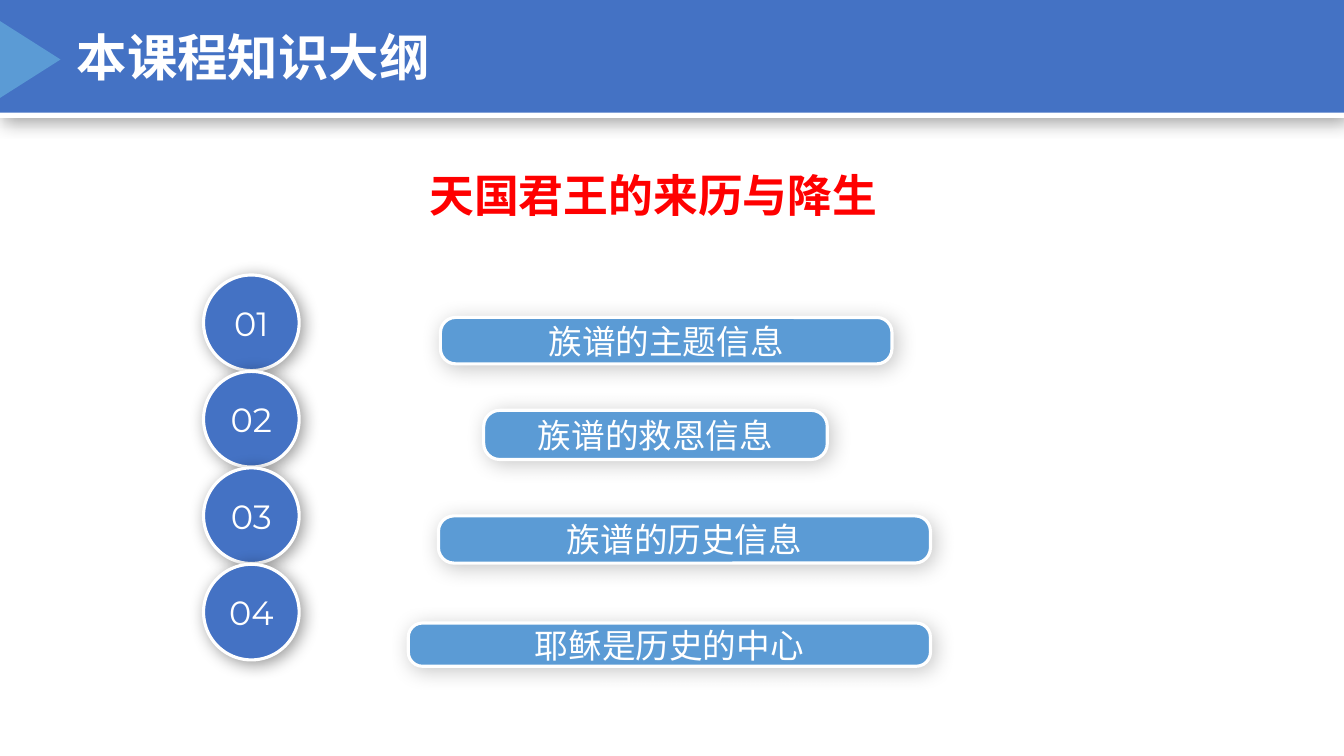
"""Build the course outline slide with a header band and four numbered topics."""
from dataclasses import dataclass

from lxml import etree
from pptx import Presentation
from pptx.dml.color import RGBColor
from pptx.enum.shapes import MSO_SHAPE
from pptx.enum.text import MSO_ANCHOR, MSO_AUTO_SIZE, PP_ALIGN
from pptx.oxml.ns import qn
from pptx.util import Cm, Pt

RECTANGLE = MSO_SHAPE.RECTANGLE
TRIANGLE = MSO_SHAPE.ISOSCELES_TRIANGLE
OVAL = MSO_SHAPE.OVAL
ROUNDED = MSO_SHAPE.ROUNDED_RECTANGLE
TOP, MIDDLE = MSO_ANCHOR.TOP, MSO_ANCHOR.MIDDLE
LEFT, CENTER = PP_ALIGN.LEFT, PP_ALIGN.CENTER
NO_AUTOFIT = MSO_AUTO_SIZE.NONE

COURSE_TITLE = "本课程知识大纲"
LESSON_HEADING = "天国君王的来历与降生"
TOPICS = [
    ("族谱的主题信息", (11.1, 8.0, 11.38, 1.17)),
    ("族谱的救恩信息", (12.19, 10.34, 8.66, 1.24)),
    ("族谱的历史信息", (11.05, 13.0, 12.4, 1.19)),
    ("耶稣是历史的中心", (10.29, 15.7, 13.16, 1.09)),
]

SLIDE_WIDTH, SLIDE_HEIGHT = 33.87, 19.05
BAND_HEIGHT, BAND_EDGE = 2.84, 0.13
BADGE_LEFT, BADGE_TOP, BADGE_SIZE, BADGE_STEP = 5.13, 6.93, 2.41, 2.43
PILL_ROUNDING = 0.327


@dataclass(frozen=True)
class Theme:
    """Colours, fonts, type sizes and shadows of the slide."""
    white: str = "FFFFFF"
    band: str = "4472C4"
    accent: str = "5B9BD5"
    heading: str = "FF0000"
    shadow: str = "000000"
    chinese: str = "Noto Sans CJK SC"
    digits: str = "Montserrat"
    title_size: int = 36
    heading_size: int = 32
    item_size: int = 24
    outline: float = 2.25
    band_shadow: tuple = (40, 13)
    badge_shadow: tuple = (40, 12)
    pill_shadow: tuple = (21, 15)


THEME = Theme()


def place(part, box):
    part.left, part.top, part.width, part.height = (Cm(length) for length in box)


def write(part, wording, font_name, size, colour, bold=False, align=LEFT, anchor=TOP):
    frame = part.text_frame
    frame.text = wording
    frame.word_wrap = True
    frame.auto_size = NO_AUTOFIT
    frame.vertical_anchor = anchor
    paragraph = frame.paragraphs[0]
    paragraph.alignment = align
    run = paragraph.runs[0]
    run.font.name = font_name
    run.font.size = Pt(size)
    run.font.bold = bold
    run.font.color.rgb = RGBColor.from_string(colour)
    etree.SubElement(run.font._element, qn("a:ea"), typeface=font_name)


def cast_shadow(part, opacity, blur):
    effects = part._element.spPr.find(qn("a:effectLst"))
    outer = etree.SubElement(effects, qn("a:outerShdw"), blurRad=str(Pt(blur)),
                             dist=str(Pt(3)), dir="2700000", algn="tl", rotWithShape="0")
    tint = etree.SubElement(outer, qn("a:srgbClr"), val=THEME.shadow)
    etree.SubElement(tint, qn("a:alpha"), val=str(opacity * 1000))


def add_block(slide, preset, box, fill, outlined=False, shadow=None):
    block = slide.shapes.add_shape(preset, *(Cm(length) for length in box))
    block.fill.solid()
    block.fill.fore_color.rgb = RGBColor.from_string(fill)
    if outlined:
        block.line.color.rgb = RGBColor.from_string(THEME.white)
        block.line.width = Pt(THEME.outline)
    else:
        block.line.fill.background()
    block.shadow.inherit = False
    if shadow:
        cast_shadow(block, *shadow)
    return block


def add_header(slide):
    add_block(slide, RECTANGLE, (0, BAND_EDGE, SLIDE_WIDTH, BAND_HEIGHT), THEME.white,
              shadow=THEME.band_shadow)
    add_block(slide, RECTANGLE, (0, 0, SLIDE_WIDTH, BAND_HEIGHT), THEME.band)
    title = slide.shapes.title
    slide.shapes._spTree.append(title._element)
    place(title, (1.68, 0.53, 11.73, 1.8))
    write(title, COURSE_TITLE, THEME.chinese, THEME.title_size, THEME.white, bold=True)
    marker = add_block(slide, TRIANGLE, (-0.2, 0.74, 1.93, 1.52), THEME.accent)
    marker.rotation = 90


def add_topics(slide):
    for index, (topic, pill_box) in enumerate(TOPICS):
        badge_box = (BADGE_LEFT, BADGE_TOP + index * BADGE_STEP, BADGE_SIZE, BADGE_SIZE)
        badge = add_block(slide, OVAL, badge_box, THEME.band, True, THEME.badge_shadow)
        write(badge, f"{index + 1:02d}", THEME.digits, THEME.item_size, THEME.white,
              align=CENTER, anchor=MIDDLE)
        pill = add_block(slide, ROUNDED, pill_box, THEME.accent, True, THEME.pill_shadow)
        pill.adjustments[0] = PILL_ROUNDING
        write(pill, topic, THEME.chinese, THEME.item_size, THEME.white,
              align=CENTER, anchor=MIDDLE)


def main():
    deck = Presentation()
    deck.slide_width, deck.slide_height = Cm(SLIDE_WIDTH), Cm(SLIDE_HEIGHT)
    slide = deck.slides.add_slide(deck.slide_layouts.get_by_name("Title Only"))
    add_header(slide)
    add_topics(slide)
    heading = slide.shapes.add_textbox(Cm(10.57), Cm(4.09), Cm(12.88), Cm(1.63))
    write(heading, LESSON_HEADING, THEME.chinese, THEME.heading_size, THEME.heading, bold=True)
    deck.save("out.pptx")


if __name__ == "__main__":
    main()
